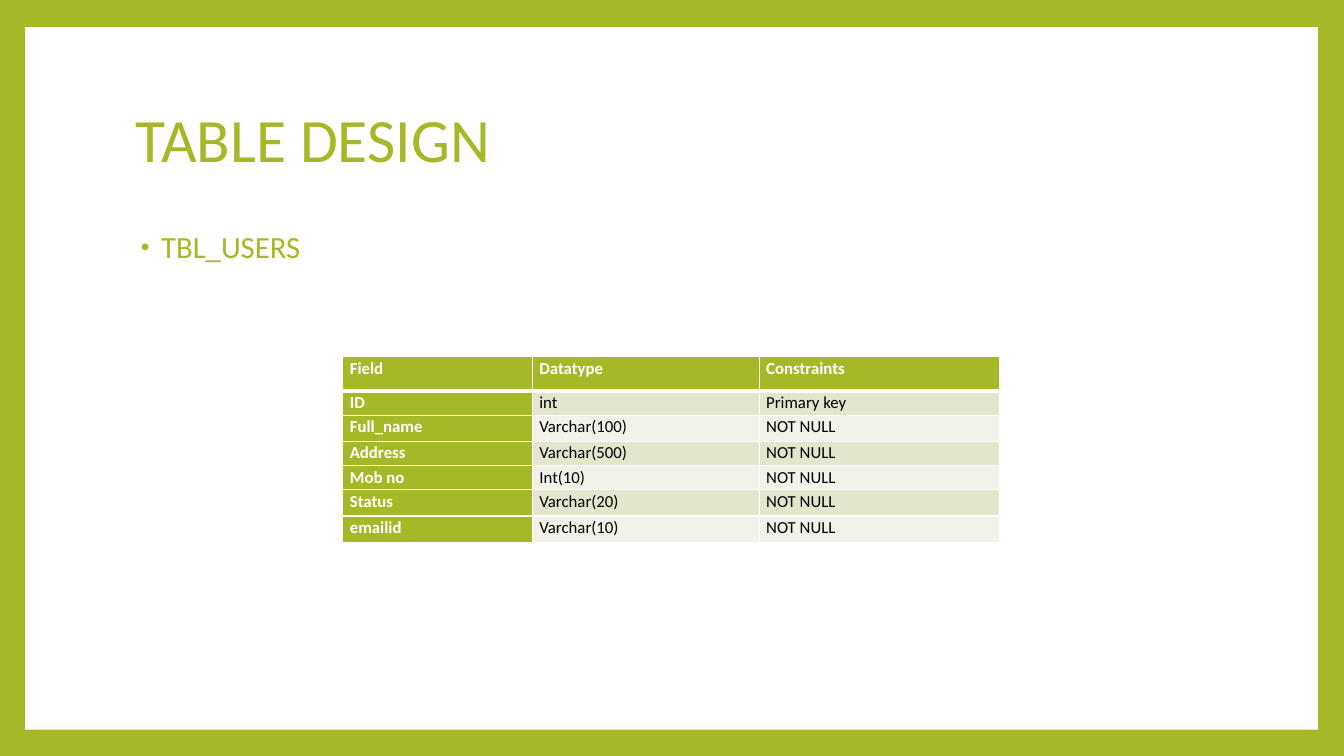
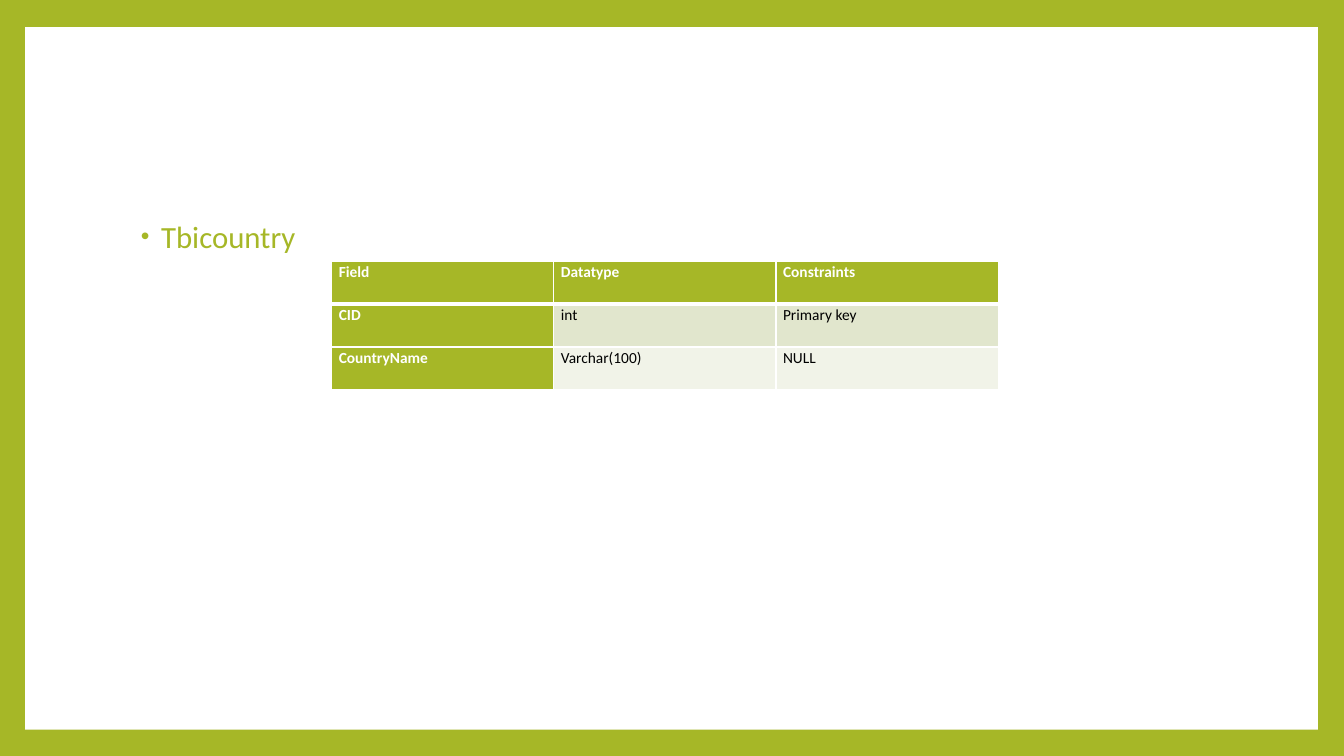
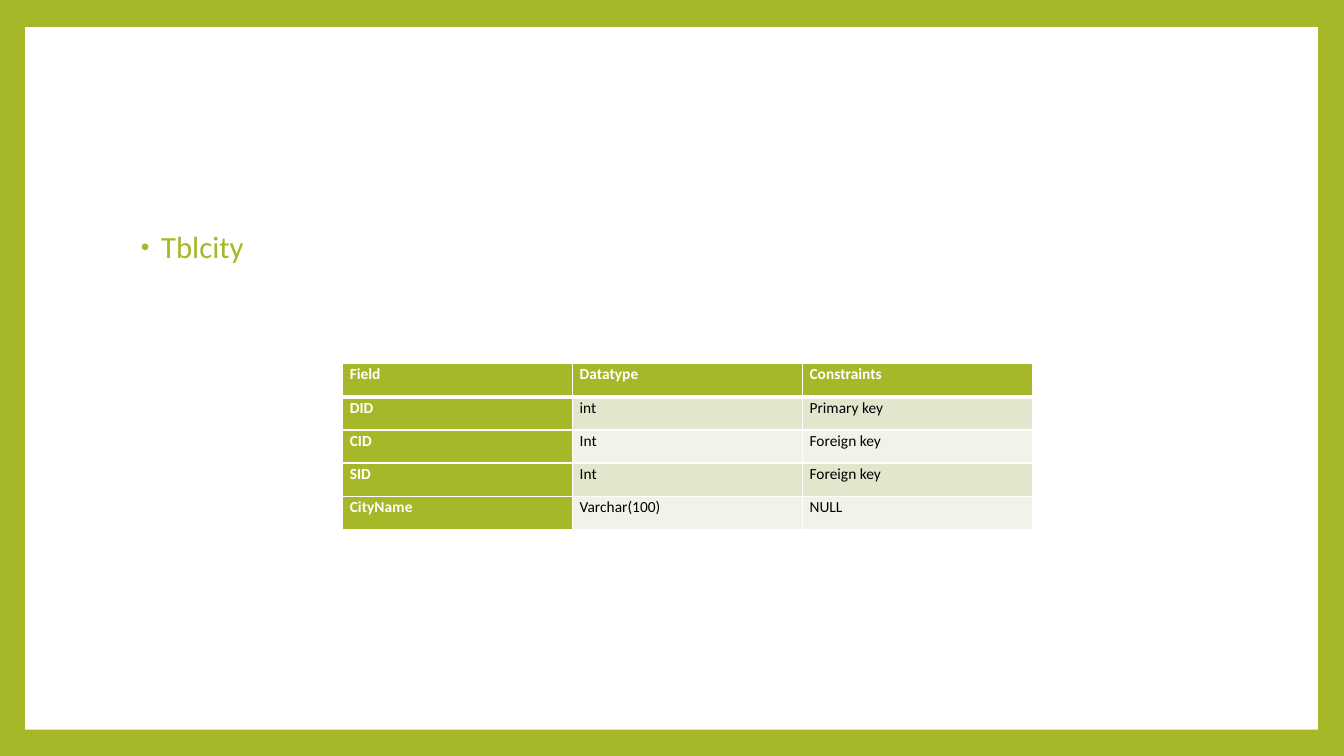
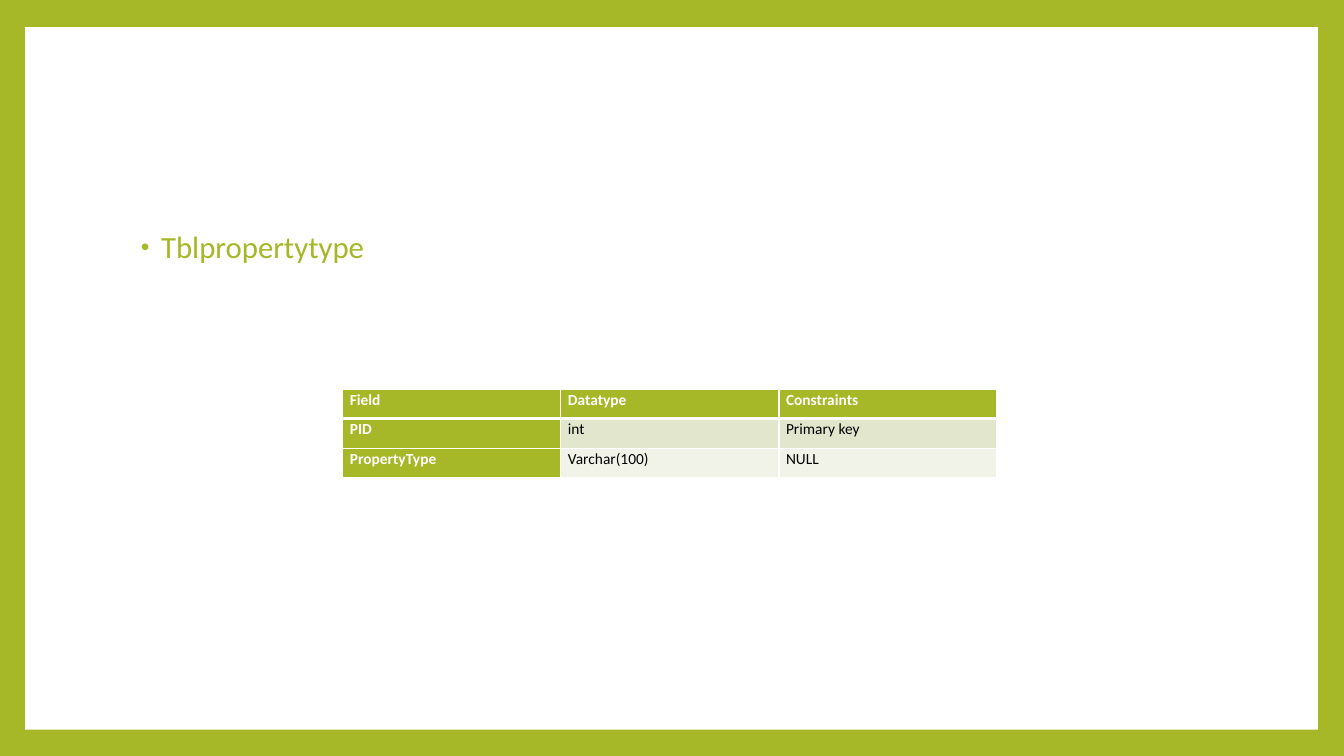
from dataclasses import dataclass

from lxml import etree
from pptx import Presentation
from pptx.dml.color import RGBColor
from pptx.enum.shapes import MSO_SHAPE
from pptx.enum.text import MSO_ANCHOR
from pptx.oxml.ns import qn
from pptx.slide import Slide
from pptx.table import _Cell
from pptx.text.text import _Paragraph
from pptx.util import Inches, Pt

RECT = MSO_SHAPE.RECTANGLE
MIDDLE = MSO_ANCHOR.MIDDLE
TOP = MSO_ANCHOR.TOP

GREEN = RGBColor(0xA6, 0xB7, 0x27)
WHITE = RGBColor(0xFF, 0xFF, 0xFF)
BLACK = RGBColor(0x00, 0x00, 0x00)
DARK = RGBColor(0xE1, 0xE6, 0xCD)
LIGHT = RGBColor(0xF1, 0xF3, 0xE8)
FONT = "Calibri"
HEAD = ("Field", "Datatype", "Constraints")
THIN, THICK = 1, 3


@dataclass(frozen=True)
class Page:
    label: str
    left: float
    top: float
    widths: list[float]
    heights: list[float]
    size: int
    rows: list[tuple[str, str, str]]
    title: str = ""
    body: float = 2.25


PAGES = [
    Page("TBL_USERS", 3.4, 3.54, [1.88, 2.25, 2.38],
         [0.34, 0.24, 0.26, 0.24, 0.24, 0.26, 0.26], 12,
         [("ID", "int", "Primary key"),
          ("Full_name", "Varchar(100)", "NOT NULL"),
          ("Address", "Varchar(500)", "NOT NULL"),
          ("Mob no", "Int(10)", "NOT NULL"),
          ("Status", "Varchar(20)", "NOT NULL"),
          ("emailid", "Varchar(10)", "NOT NULL")],
         title="TABLE DESIGN"),
    Page("Tbicountry", 3.29, 2.59, [6.61 / 3] * 3, [1.28 / 3] * 3, 11,
         [("CID", "int", "Primary key"),
          ("CountryName", "Varchar(100)", "NULL")],
         body=2.15),
    Page("Tblcity", 3.4, 3.61, [6.84 / 3] * 3, [1.64 / 5] * 5, 11,
         [("DID", "int", "Primary key"),
          ("CID", "Int", "Foreign key"),
          ("SID", "Int", "Foreign key"),
          ("CityName", "Varchar(100)", "NULL")]),
    Page("Tblpropertytype", 3.4, 3.86, [6.49 / 3] * 3, [0.88 / 3] * 3, 11,
         [("PID", "int", "Primary key"),
          ("PropertyType", "Varchar(100)", "NULL")]),
]


def style(para: _Paragraph, size: int, color: RGBColor, pitch: float,
          bold: bool = False) -> None:
    para.line_spacing = pitch
    for run in para.runs:
        run.font.name = FONT
        run.font.size = Pt(size)
        run.font.bold = bold
        run.font.color.rgb = color


def add_frame(slide: Slide) -> None:
    frame = slide.shapes.add_shape(
        RECT, Inches(0.25), Inches(0.27), Inches(12.82), Inches(6.97))
    frame.shadow.inherit = False
    frame.fill.solid()
    frame.fill.fore_color.rgb = WHITE
    frame.line.fill.background()


def add_text(slide: Slide, text: str, top: float, height: float, size: int,
             anchor: MSO_ANCHOR) -> _Paragraph:
    box = slide.shapes.add_textbox(
        Inches(1.25), Inches(top), Inches(10.8), Inches(height))
    frame = box.text_frame
    frame.word_wrap = True
    frame.vertical_anchor = anchor
    frame.text = text
    para = frame.paragraphs[0]
    style(para, size, GREEN, 0.9)
    return para


def add_bullet(para: _Paragraph) -> None:
    para.space_before = Pt(14)
    props = para._p.get_or_add_pPr()
    props.set("marL", str(Inches(0.25)))
    props.set("indent", str(Inches(-0.2)))
    color = etree.SubElement(props, qn("a:buClr"))
    etree.SubElement(color, qn("a:srgbClr"), val=str(GREEN))
    etree.SubElement(props, qn("a:buSzPct"), val="80000")
    etree.SubElement(props, qn("a:buFont"), typeface="Arial")
    etree.SubElement(props, qn("a:buChar"), char="•")


def add_edges(cell: _Cell, top: int, base: int) -> None:
    props = cell._tc.get_or_add_tcPr()
    edges = {"a:lnL": THIN, "a:lnR": THIN, "a:lnT": top, "a:lnB": base}
    for tag, width in edges.items():
        line = etree.SubElement(props, qn(tag), w=str(Pt(width)))
        fill = etree.SubElement(line, qn("a:solidFill"))
        etree.SubElement(fill, qn("a:srgbClr"), val=str(WHITE))


def fill_cell(cell: _Cell, text: str, row: int, col: int, size: int) -> None:
    key = row == 0 or col == 0
    cell.margin_left = cell.margin_right = Inches(0.07)
    cell.margin_top = cell.margin_bottom = 0
    add_edges(cell, THICK if row == 1 else THIN, THICK if row == 0 else THIN)
    cell.fill.solid()
    cell.fill.fore_color.rgb = GREEN if key else DARK if row % 2 else LIGHT
    cell.text_frame.text = text
    style(cell.text_frame.paragraphs[0], size, WHITE if key else BLACK,
          1.07, key)


def add_grid(slide: Slide, page: Page) -> None:
    rows = [HEAD, *page.rows]
    table = slide.shapes.add_table(
        len(rows), len(HEAD), Inches(page.left), Inches(page.top),
        Inches(sum(page.widths)), Inches(sum(page.heights))).table
    table.horz_banding = False
    table.first_col = True
    for column, width in zip(table.columns, page.widths):
        column.width = Inches(width)
    for line, height in zip(table.rows, page.heights):
        line.height = Inches(height)
    for row, texts in enumerate(rows):
        for col, text in enumerate(texts):
            fill_cell(table.cell(row, col), text, row, col, page.size)


def main() -> None:
    deck = Presentation()
    deck.slide_width = Inches(13.33)
    deck.slide_height = Inches(7.5)
    back = deck.slide_master.background.fill
    back.solid()
    back.fore_color.rgb = GREEN
    for page in PAGES:
        slide = deck.slides.add_slide(deck.slide_layouts[6])
        add_frame(slide)
        if page.title:
            add_text(slide, page.title, 0.67, 1.48, 44, MIDDLE)
        add_bullet(add_text(slide, page.label, page.body, 4.42, 22, TOP))
        add_grid(slide, page)
    deck.save("out.pptx")


if __name__ == "__main__":
    main()
